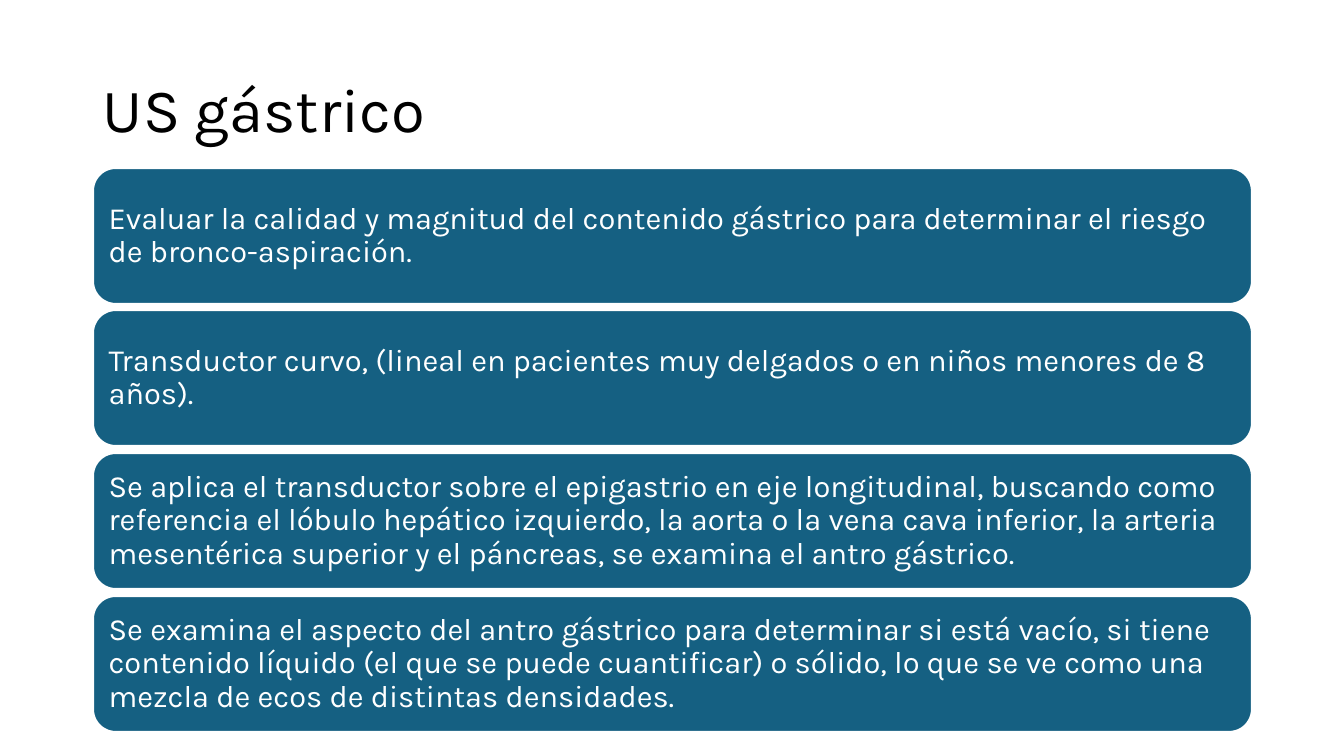
from dataclasses import dataclass

import pptx
import pptx.dml.color
import pptx.enum.shapes
import pptx.enum.text
import pptx.util

SLIDE_W, SLIDE_H = 1344, 756
PX = 12192000 / SLIDE_W
FONT = "Karla"
COLORS = {"ink": "000000", "card": "156082", "white": "FFFFFF"}
LEFT, WIDTH = 93, 1159
TITLE_TOP, TITLE_H = 40, 146
FIRST_TOP, LAST_TOP, CARD_H = 168, 596, 136
CARD_INSET = 9


@dataclass
class Card:
    text: str


CARDS = [
    Card("Evaluar la calidad y magnitud del contenido gástrico para determinar "
         "el riesgo de bronco-aspiración."),
    Card("Transductor curvo, (lineal en pacientes muy delgados o en niños "
         "menores de 8 años)."),
    Card("Se aplica el transductor sobre el epigastrio en eje longitudinal, "
         "buscando como referencia el lóbulo hepático izquierdo, la aorta o la "
         "vena cava inferior, la arteria mesentérica superior y el páncreas, "
         "se examina el antro gástrico."),
    Card("Se examina el aspecto del antro gástrico para determinar si está "
         "vacío, si tiene contenido líquido (el que se puede cuantificar) o "
         "sólido, lo que se ve como una mezcla de ecos de distintas densidades."),
]


def px(n: int) -> pptx.util.Emu:
    return pptx.util.Emu(round(n * PX))


def rgb(name: str) -> pptx.dml.color.RGBColor:
    return pptx.dml.color.RGBColor.from_string(COLORS[name])


def write(sp, text: str, size: int, color: str) -> None:
    tf = sp.text_frame
    tf.word_wrap = True
    tf.vertical_anchor = pptx.enum.text.MSO_ANCHOR.MIDDLE
    p = tf.paragraphs[0]
    p.alignment = pptx.enum.text.PP_ALIGN.LEFT
    p.line_spacing = 0.9
    r = p.add_run()
    r.text = text
    r.font.name = FONT
    r.font.size = pptx.util.Pt(size)
    r.font.color.rgb = rgb(color)


def draw_card(s, card: Card, top: int) -> None:
    sp = s.shapes.add_shape(
        pptx.enum.shapes.MSO_SHAPE.ROUNDED_RECTANGLE,
        px(LEFT), px(top), px(WIDTH), px(CARD_H))
    sp.shadow.inherit = False
    sp.fill.solid()
    sp.fill.fore_color.rgb = rgb("card")
    sp.line.color.rgb = rgb("white")
    sp.line.width = pptx.util.Pt(1.5)
    tf = sp.text_frame
    tf.margin_left = tf.margin_right = px(CARD_INSET)
    tf.margin_top = tf.margin_bottom = px(CARD_INSET)
    write(sp, card.text, 22, "white")


def main() -> None:
    prs = pptx.Presentation()
    prs.slide_width, prs.slide_height = px(SLIDE_W), px(SLIDE_H)
    s = prs.slides.add_slide(prs.slide_layouts[6])
    title = s.shapes.add_textbox(px(LEFT), px(TITLE_TOP), px(WIDTH), px(TITLE_H))
    write(title, "US gástrico", 44, "ink")
    for i, card in enumerate(CARDS):
        top = FIRST_TOP + (LAST_TOP - FIRST_TOP) * i // (len(CARDS) - 1)
        draw_card(s, card, top)
    prs.save("out.pptx")


if __name__ == "__main__":
    main()
